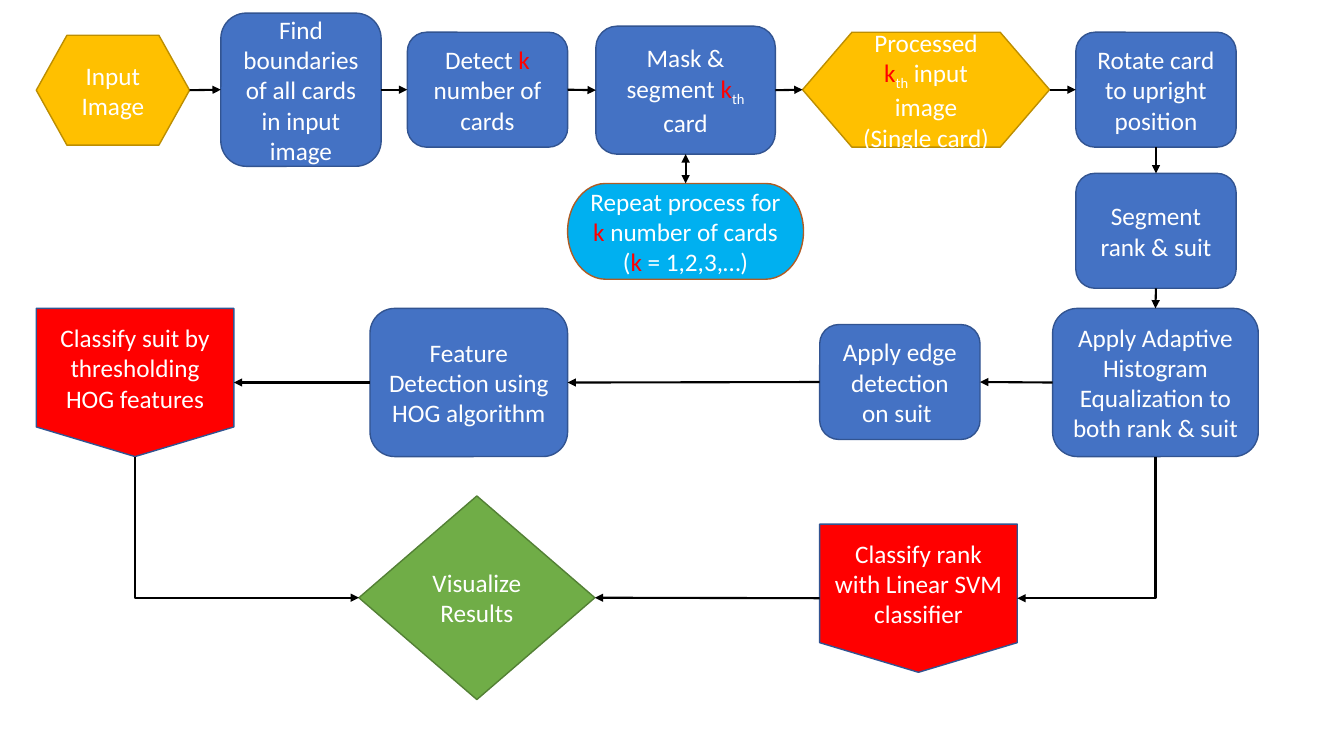
from dataclasses import dataclass

from lxml import etree
from pptx import Presentation
from pptx import util as u
from pptx.dml.color import RGBColor
from pptx.enum import shapes as sh, text as tx
from pptx.oxml.ns import qn

PX = 9144  # EMU in one px, 100 px to the inch
HUES = {
    "blue": "4472C4", "navy": "325491", "gold": "FFC000", "ochre": "BD8E00",
    "red": "FF0000", "green": "70AD47", "moss": "538035", "sky": "00B0F0",
    "rust": "AF5C24", "white": "FFFFFF", "black": "000000",
}
FONT = {"name": "Calibri", "size": u.Pt(18)}
FRAME = {"word_wrap": True, "vertical_anchor": tx.MSO_ANCHOR.MIDDLE}
TOP, LEFT, BOTTOM, RIGHT = range(4)  # connection sites
ROWS = (89, 229, 379, 593)  # middle of each row
KIND = sh.MSO_SHAPE


@dataclass(frozen=True)
class Look:
    form: int
    fill: str
    edge: str


@dataclass(frozen=True)
class Step:
    key: str
    look: Look
    row: int
    left: int
    width: int
    height: int
    label: str  # "|" parts runs: "k" is red, "th" is a subscript


@dataclass(frozen=True)
class Link:
    start: str
    out: int
    end: str
    into: int
    both: bool = False
    bent: bool = False


ALT = Look(KIND.FLOWCHART_ALTERNATE_PROCESS, "blue", "navy")
ROUND = Look(KIND.ROUNDED_RECTANGLE, "blue", "navy")
IMAGE = Look(KIND.FLOWCHART_PREPARATION, "gold", "ochre")
CLASS = Look(KIND.FLOWCHART_OFFPAGE_CONNECTOR, "red", "navy")
LOOP = Look(KIND.FLOWCHART_TERMINATOR, "sky", "rust")
RESULT = Look(KIND.FLOWCHART_DECISION, "green", "moss")

STEPS = (
    Step("input", IMAGE, 0, 36, 152, 109, "Input Image"),
    Step("find", ALT, 0, 219, 159, 152, "Find boundaries of all cards in input image"),
    Step("detect", ALT, 0, 404, 159, 114, "Detect |k| number of cards"),
    Step("mask", ALT, 0, 591, 178, 127, "Mask & segment |k|th |card"),
    Step("single", IMAGE, 0, 796, 245, 114,
         "Processed |k|th| input image\n(Single card)"),
    Step("rotate", ROUND, 0, 1067, 159, 114, "Rotate card to upright position"),
    Step("repeat", LOOP, 1, 563, 234, 95,
         "Repeat process for |k| number of cards (|k| = 1,2,3,…)"),
    Step("segment", ROUND, 1, 1067, 159, 114, "Segment rank & suit"),
    Step("suit", CLASS, 2, 36, 196, 147, "Classify suit by thresholding HOG features"),
    Step("feature", ROUND, 2, 367, 196, 147, "Feature Detection using HOG algorithm"),
    Step("edge", ROUND, 2, 813, 159, 114, "Apply edge detection on suit "),
    Step("adapt", ROUND, 2, 1044, 204, 147,
         "Apply Adaptive Histogram Equalization to both rank & suit"),
    Step("result", RESULT, 3, 356, 234, 202, "Visualize Results"),
    Step("rank", CLASS, 3, 813, 196, 147, "Classify rank with Linear SVM classifier"),
)

LINKS = (
    Link("mask", BOTTOM, "repeat", TOP, both=True),
    Link("input", RIGHT, "find", LEFT),
    Link("find", RIGHT, "detect", LEFT),
    Link("detect", RIGHT, "mask", LEFT),
    Link("mask", RIGHT, "single", LEFT),
    Link("single", RIGHT, "rotate", LEFT),
    Link("rotate", BOTTOM, "segment", TOP),
    Link("segment", BOTTOM, "adapt", TOP),
    Link("adapt", LEFT, "edge", RIGHT),
    Link("edge", LEFT, "feature", RIGHT),
    Link("feature", LEFT, "suit", RIGHT),
    Link("adapt", BOTTOM, "rank", RIGHT, bent=True),
    Link("rank", LEFT, "result", RIGHT),
    Link("suit", BOTTOM, "result", LEFT, bent=True),
)


def hue(name: str) -> RGBColor:
    return RGBColor.from_string(HUES[name])


def write(frame, label: str) -> None:
    for name, value in FRAME.items():
        setattr(frame, name, value)
    for i, row in enumerate(label.split("\n")):
        para = frame.add_paragraph() if i else frame.paragraphs[0]
        para.alignment = tx.PP_ALIGN.CENTER
        for part in row.split("|"):
            run = para.add_run()
            run.text = part
            for name, value in FONT.items():
                setattr(run.font, name, value)
            run.font.color.rgb = hue("red" if part == "k" else "white")
            if part.strip() == "th":
                run.font._element.set("baseline", "-25000")


def draw(slide, step: Step):
    top = ROWS[step.row] - step.height // 2
    area = (n * PX for n in (step.left, top, step.width, step.height))
    shape = slide.shapes.add_shape(step.look.form, *area)
    shape.shadow.inherit = False
    shape.fill.solid()
    shape.fill.fore_color.rgb = hue(step.look.fill)
    shape.line.color.rgb = hue(step.look.edge)
    shape.line.width = u.Pt(1)
    write(shape.text_frame, step.label)
    return shape


def bend(line) -> None:
    """Turn a connector into one corner: first down, then sideways."""
    dx = line.end_x - line.begin_x
    wide, high = line.width, line.height
    mid_x, mid_y = line.left + wide // 2, line.top + high // 2
    props = line._element.spPr
    props.find(qn("a:prstGeom")).set("prst", "bentConnector2")
    frame = props.find(qn("a:xfrm"))
    frame.attrib.clear()
    frame.set("rot", "16200000" if dx > 0 else "5400000")
    if dx > 0:
        frame.set("flipH", "1")
    area = {"left": mid_x - high // 2, "top": mid_y - wide // 2,
            "width": high, "height": wide}
    for name, value in area.items():
        setattr(line, name, value)


def join(slide, link: Link, nodes: dict) -> None:
    kind = sh.MSO_CONNECTOR.ELBOW if link.bent else sh.MSO_CONNECTOR.STRAIGHT
    line = slide.shapes.add_connector(kind, 0, 0, 0, 0)
    line.begin_connect(nodes[link.start], link.out)
    line.end_connect(nodes[link.end], link.into)
    if link.bent:
        bend(line)
    line.line.color.rgb = hue("black")
    line.line.width = u.Pt(1.5)
    props = line._element.spPr
    for tip in ("headEnd", "tailEnd") if link.both else ("tailEnd",):
        etree.SubElement(props.find(qn("a:ln")), qn(f"a:{tip}"), type="triangle")
    etree.SubElement(props, qn("a:effectLst"))


def main() -> None:
    deck = Presentation()
    deck.slide_width, deck.slide_height = 1333 * PX, 750 * PX
    slide = deck.slides.add_slide(deck.slide_layouts[6])
    nodes = {step.key: draw(slide, step) for step in STEPS}
    for link in LINKS:
        join(slide, link, nodes)
    deck.save("out.pptx")


if __name__ == "__main__":
    main()
